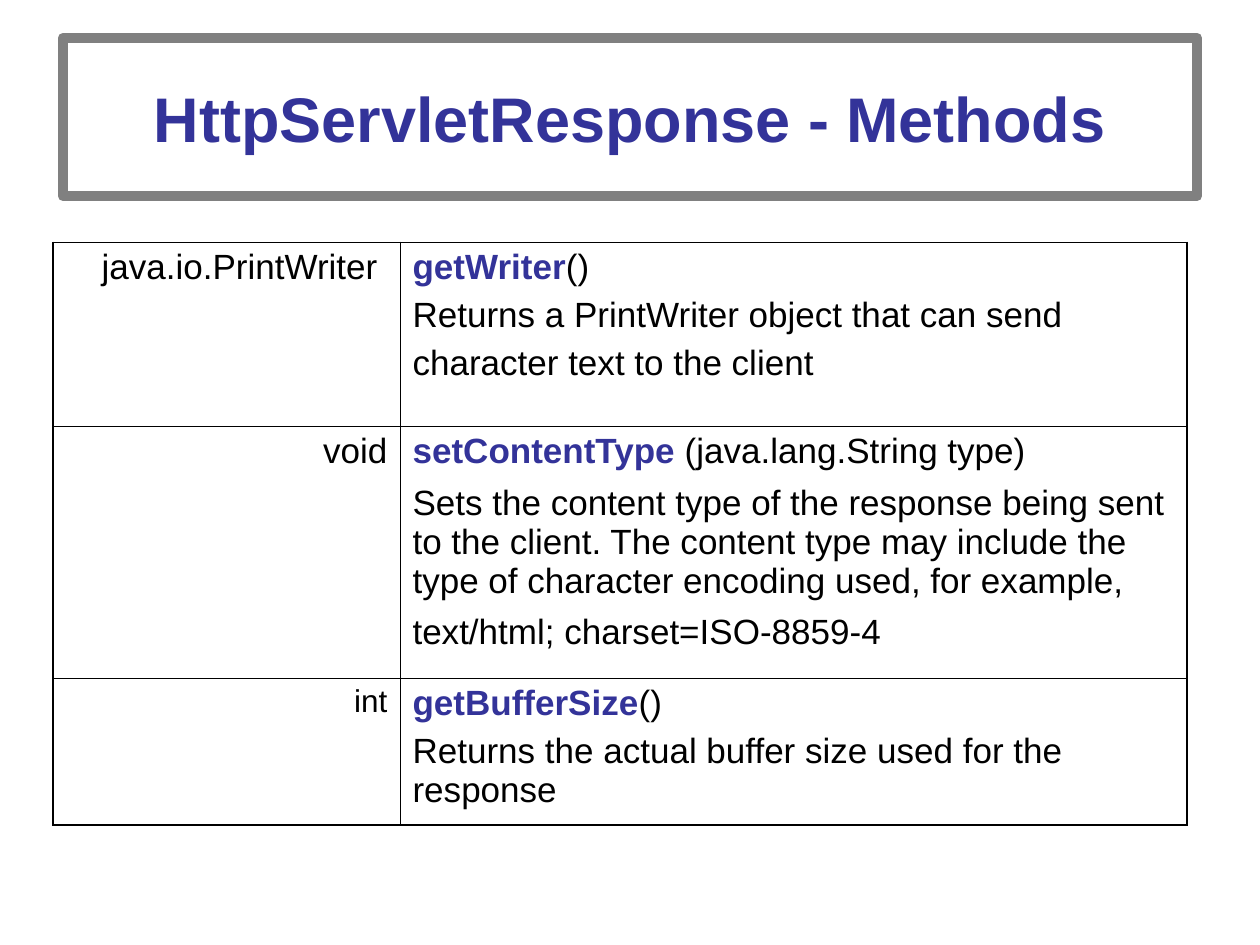
from dataclasses import dataclass

from lxml import etree
from pptx import Presentation
from pptx.dml.color import RGBColor
from pptx.enum.shapes import MSO_SHAPE
from pptx.enum.text import MSO_ANCHOR, PP_ALIGN
from pptx.oxml.ns import qn
from pptx.util import Emu, Pt

RECTANGLE = MSO_SHAPE.RECTANGLE
MIDDLE = MSO_ANCHOR.MIDDLE
LEFT, CENTER, RIGHT = PP_ALIGN.LEFT, PP_ALIGN.CENTER, PP_ALIGN.RIGHT
BLANK_LAYOUT = 6
PX_PER_INCH = 126


def px(length):
    return Emu(round(length * 914400 / PX_PER_INCH))


@dataclass(frozen=True)
class Theme:
    font: str = "Arial"
    text: str = "000000"
    accent: str = "333399"
    frame: str = "808080"
    background: str = "FFFFFF"
    title_size: int = 36
    body_size: int = 20
    small_size: int = 18
    spacer_size: int = 28
    frame_width: float = 6
    inner_border: float = 0.45
    outer_border: float = 1.08


@dataclass(frozen=True)
class Run:
    text: str
    size: int = Theme.body_size
    color: str = Theme.text
    bold: bool = False


def method_name(text):
    return Run(text, color=Theme.accent, bold=True)


class SlideBuilder:
    def __init__(self, slide, theme):
        self.slide = slide
        self.theme = theme
        background = slide.background.fill
        background.solid()
        background.fore_color.rgb = RGBColor.from_string(theme.background)

    def fill_paragraph(self, paragraph, runs, alignment=LEFT, space_before=0):
        paragraph.alignment = alignment
        paragraph.space_before = Pt(space_before)
        for item in runs:
            run = paragraph.add_run()
            run.text = item.text
            run.font.name = self.theme.font
            run.font.size = Pt(item.size)
            run.font.bold = item.bold
            run.font.color.rgb = RGBColor.from_string(item.color)

    def title(self, text, left, top, width, height):
        shape = self.slide.shapes.add_shape(
            RECTANGLE, px(left), px(top), px(width), px(height))
        shape.shadow.inherit = False
        shape.fill.background()
        shape.line.color.rgb = RGBColor.from_string(self.theme.frame)
        shape.line.width = Pt(self.theme.frame_width)
        frame = shape.text_frame
        frame.word_wrap = True
        frame.vertical_anchor = MIDDLE
        run = Run(text, self.theme.title_size, self.theme.accent, True)
        self.fill_paragraph(frame.paragraphs[0], [run], CENTER)

    def borders(self, cell, widths):
        properties = cell._tc.get_or_add_tcPr()
        for index, (side, width) in enumerate(widths.items()):
            line = etree.Element(qn(f"a:ln{side}"), w=str(int(Pt(width))))
            fill = etree.SubElement(line, qn("a:solidFill"))
            etree.SubElement(fill, qn("a:srgbClr"), val=self.theme.text)
            properties.insert(index, line)

    def table(self, rows, left, top, column_widths, row_heights):
        table = self.slide.shapes.add_table(
            len(rows), len(column_widths), px(left), px(top),
            px(sum(column_widths)), px(sum(row_heights))).table
        table.first_row = table.horz_banding = False
        for column, width in zip(table.columns, column_widths):
            column.width = px(width)
        for row, height in zip(table.rows, row_heights):
            row.height = px(height)

        inner, outer = self.theme.inner_border, self.theme.outer_border
        last_row, last_column = len(rows) - 1, len(column_widths) - 1
        for r, contents in enumerate(rows):
            for c, paragraphs in enumerate(contents):
                cell = table.cell(r, c)
                cell.fill.background()
                self.borders(cell, {
                    "L": outer if c == 0 else inner,
                    "R": outer if c == last_column else inner,
                    "T": inner,
                    "B": outer if r == last_row else inner,
                })
                frame = cell.text_frame
                for index, (space_before, runs) in enumerate(paragraphs):
                    paragraph = frame.add_paragraph() if index else frame.paragraphs[0]
                    self.fill_paragraph(
                        paragraph, runs, LEFT if c else RIGHT, space_before)


# Each row: return type, then method; a paragraph is (space before, runs)
METHODS = [
    (
        [(5, [Run("java.io.PrintWriter ")])],
        [
            (5, [method_name("getWriter"), Run("()")]),
            (5, [Run("Returns a PrintWriter object that can send")]),
            (5, [Run("character text to the client")]),
        ],
    ),
    (
        [(5, [Run("void")])],
        [
            (5, [method_name("setContentType "), Run("(java.lang.String type)")]),
            (7, [
                Run("Sets the content type of the response being sent to the client. "
                    "The content type may include the type of character encoding used, "
                    "for example, text/html; charset=ISO-8859-4"),
                Run(" ", Theme.spacer_size),
            ]),
        ],
    ),
    (
        [(4.5, [Run("int", Theme.small_size)])],
        [
            (5, [method_name("getBufferSize"), Run("()")]),
            (5, [Run("Returns the actual buffer size used for the response")]),
        ],
    ),
]


def main():
    presentation = Presentation()
    presentation.slide_width = px(1260)
    presentation.slide_height = px(945)
    slide = presentation.slides.add_slide(presentation.slide_layouts[BLANK_LAYOUT])
    builder = SlideBuilder(slide, Theme())

    # Framed title
    builder.title("HttpServletResponse - Methods", 63, 38, 1134, 158)

    # Method table
    builder.table(METHODS, 53, 242, [347, 787], [184, 252, 147])

    presentation.save("out.pptx")


if __name__ == "__main__":
    main()
